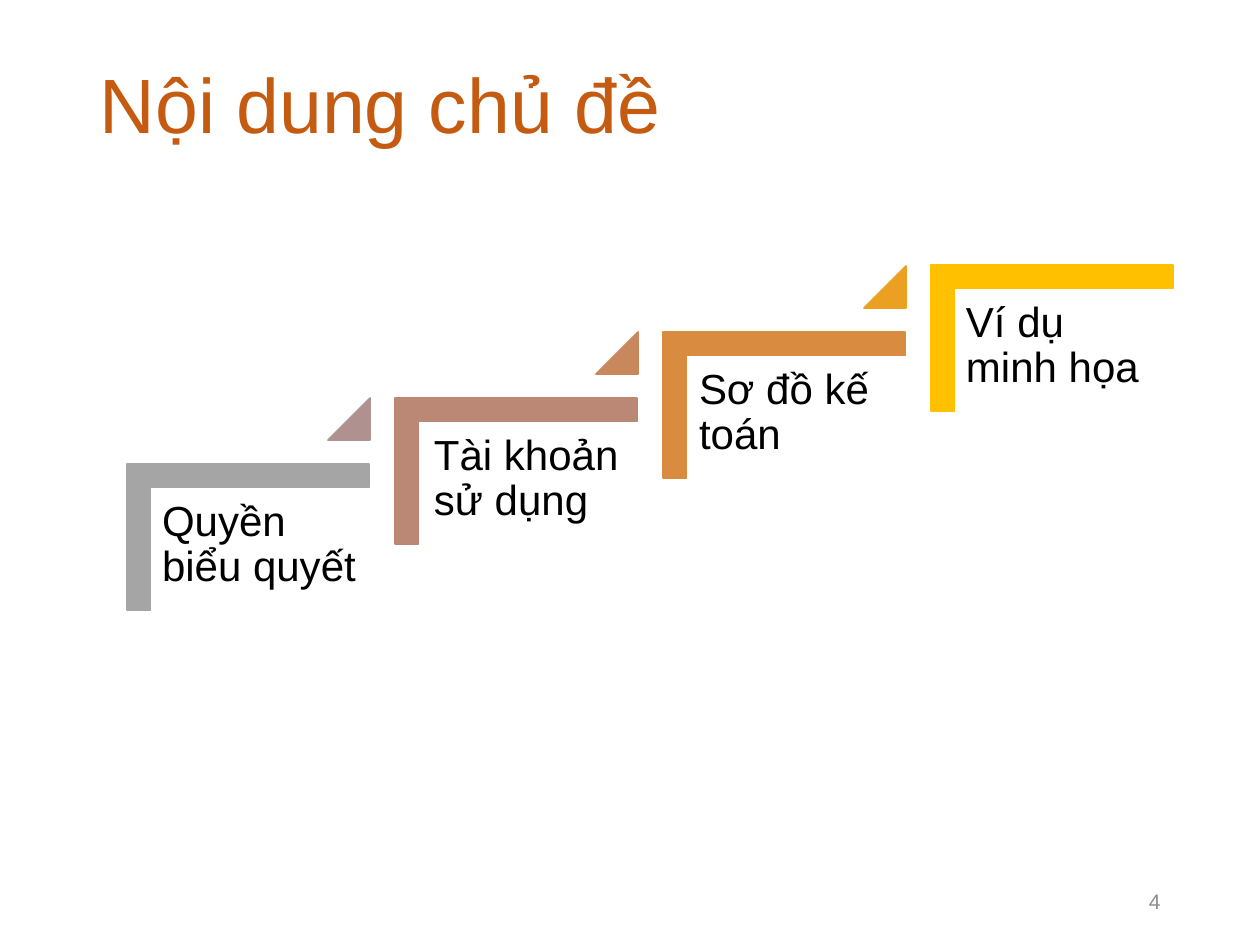
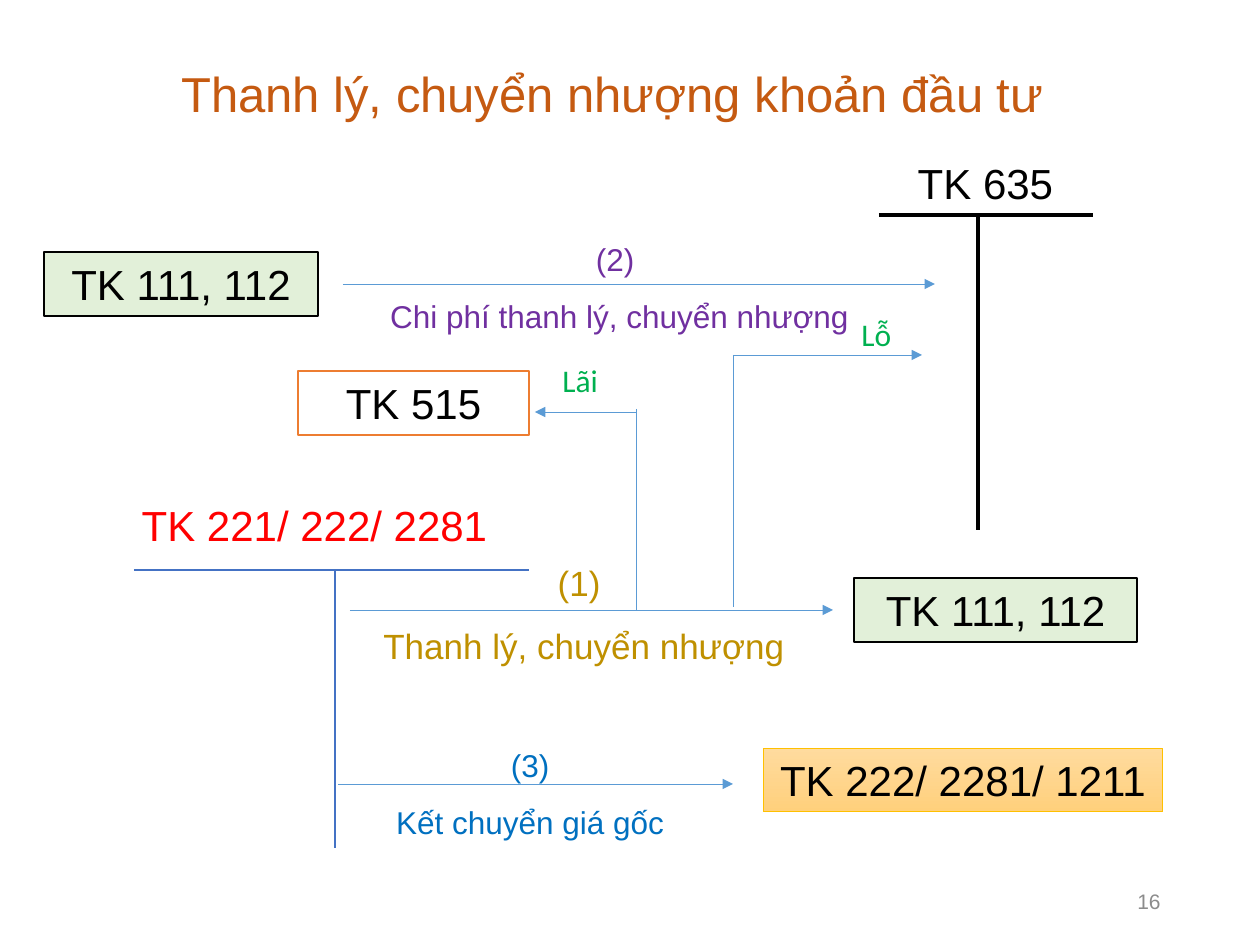
from lxml.etree import SubElement
from pptx import Presentation
from pptx.dml.color import RGBColor
from pptx.enum.shapes import MSO_CONNECTOR, MSO_SHAPE
from pptx.enum.text import MSO_ANCHOR, PP_ALIGN
from pptx.oxml.ns import qn
from pptx.util import Pt

PX = 914400 / 126  # EMU in one px
INK = {
    "title": "C55A11", "page": "8C8C8C", "black": "000000", "white": "FFFFFF",
    "red": "FF0000", "green": "00B050", "gold": "BF9000", "purple": "7030A0",
    "blue": "0070C0", "mint": "E2F0D9", "orange": "ED7D31", "amber": "FFC000",
    "flow": "5B9BD5", "ledger": "4472C4", "light": "FFDB9E", "deep": "FFD07C",
    "step1": "A5A5A5", "step2": "BB8876", "step3": "D98C3F", "step4": "FFC000",
    "rise1": "AF928F", "rise2": "C9875C", "rise3": "EBA021",
}
INK = {name: RGBColor.from_string(code) for name, code in INK.items()}


def write(shape, lines, size, ink, align=PP_ALIGN.CENTER, space=1.0,
          anchor=MSO_ANCHOR.TOP, font="Arial", wrap=True):
    """Fill a shape with evenly formatted paragraphs."""
    frame = shape.text_frame
    frame.text = lines
    frame.word_wrap = wrap
    frame.vertical_anchor = anchor
    for par in frame.paragraphs:
        par.alignment, par.line_spacing = align, space
        par.font.size, par.font.name = Pt(size), font
        par.font.color.rgb = INK[ink]


def link(slide, ends, ink, width, arrow=False):
    """Draw a straight line through ends (x1, y1, x2, y2) in px."""
    line = slide.shapes.add_connector(
        MSO_CONNECTOR.STRAIGHT, *[round(v * PX) for v in ends])
    line.line.color.rgb = INK[ink]
    line.line.width = Pt(width)
    props = line.element.spPr
    if arrow:
        SubElement(props.find(qn("a:ln")), qn("a:tailEnd"), type="triangle")
    SubElement(props, qn("a:effectLst"))


deck = Presentation()
deck.slide_width, deck.slide_height = round(1260 * PX), round(945 * PX)

# Titles and page numbers
heads = [
    ("Nội dung chủ đề", (87, 50, 1086, 117), 44, PP_ALIGN.LEFT, 0.9, "4"),
    ("Thanh lý, chuyển nhượng khoản đầu tư ", (76, 23, 1086, 111), 28,
     PP_ALIGN.CENTER, 1.5, "16"),
]
for words, area, size, align, space, number in heads:
    slide = deck.slides.add_slide(deck.slide_layouts[5])
    title = slide.shapes.title
    title.left, title.top, title.width, title.height = [
        round(v * PX) for v in area]
    write(title, words, size, "title", align, space, MSO_ANCHOR.MIDDLE)
    page = slide.shapes.add_textbox(
        *[round(v * PX) for v in (890, 876, 283, 50)])
    write(page, number, 12, "page", PP_ALIGN.RIGHT, anchor=MSO_ANCHOR.MIDDLE)
topics, flow = deck.slides

# Rising steps: each one moves 268 px right and a third of 199 px up
steps = [("Quyền biểu quyết", 150, 219), ("Tài khoản sử dụng", 422, 212),
         ("Sơ đồ kế toán", 687, 219), ("Ví dụ minh họa", 954, 219)]
for i, (words, left, width) in enumerate(steps):
    right, up = 268 * i, 199 * i // 3
    parts = [(MSO_SHAPE.CORNER, (175 + right, 416 - up, 146, 242), 90,
              [0.161, 0.161], f"step{i + 1}")]
    if i < len(steps) - 1:
        parts.append((MSO_SHAPE.ISOSCELES_TRIANGLE,
                      (328 + right, 398 - up, 42, 42), 0, [1],
                      f"rise{i + 1}"))
    for kind, area, turn, bends, ink in parts:
        part = topics.shapes.add_shape(kind, *[round(v * PX) for v in area])
        part.rotation = turn
        for n, bend in enumerate(bends):
            part.adjustments[n] = bend
        part.shadow.inherit = False
        part.fill.solid()
        part.fill.fore_color.rgb = part.line.color.rgb = INK[ink]
        part.line.width = Pt(1)
    label = topics.shapes.add_textbox(
        *[round(v * PX) for v in (left, 488 - up, width, 192)])
    frame = label.text_frame
    frame.margin_left = frame.margin_right = round(12 * PX)
    frame.margin_top = frame.margin_bottom = round(12 * PX)
    write(label, words, 24, "black", PP_ALIGN.LEFT, 0.9)

# Account boxes
boxes = [
    ("TK 111, 112", (854, 578, 283, 64), "mint", "black", 0.75),
    ("TK 515", (298, 371, 231, 64), "white", "orange", 1),
    ("TK 111, 112", (44, 252, 274, 64), "mint", "black", 0.75),
    ("TK 222/ 2281/ 1211", (763, 748, 400, 64), None, "amber", 0.5),
]
for words, area, fill, edge, width in boxes:
    box = flow.shapes.add_shape(
        MSO_SHAPE.RECTANGLE, *[round(v * PX) for v in area])
    box.shadow.inherit = False
    if fill:
        box.fill.solid()
        box.fill.fore_color.rgb = INK[fill]
    else:
        box.fill.gradient()
        box.fill.gradient_angle = 270
        for stop, ink in zip(box.fill.gradient_stops, ("light", "deep")):
            stop.color.rgb = INK[ink]
    box.line.color.rgb = INK[edge]
    box.line.width = Pt(width)
    write(box, words, 24, "black")

# T accounts: stem, then bar
for ends, ink, width in [
    ((335, 571, 335, 848), "ledger", 1.5),
    ((134, 570, 529, 570), "ledger", 1.5),
    ((978, 215, 978, 530), "black", 2.75),
    ((879, 215, 1093, 215), "black", 2.75),
]:
    link(flow, ends, ink, width)

# Entries between accounts
for ends, arrow in [
    ((343, 284, 935, 284), True),
    ((350, 610, 833, 610), True),
    ((636, 409, 636, 611), False),
    ((733, 355, 733, 607), False),
    ((733, 355, 922, 355), True),
    ((636, 412, 535, 412), True),
    ((338, 784, 733, 784), True),
]:
    link(flow, ends, "flow", 0.5, arrow)

# Captions
left = {"align": PP_ALIGN.LEFT, "font": "Calibri"}
for words, area, size, ink, style in [
    ("TK 221/ 222/ 2281", (115, 493, 399, 64), 24, "red", {}),
    ("TK 635", (833, 151, 305, 64), 24, "black", {}),
    ("(1) \nThanh lý, chuyển nhượng", (340, 534, 488, 132), 20, "gold",
     {"space": 1.5}),
    ("(2) \nChi phí thanh lý, chuyển nhượng", (305, 215, 629, 120), 18,
     "purple", {"space": 1.5}),
    ("(3)\nKết chuyển giá gốc", (382, 721, 296, 120), 18, "blue",
     {"space": 1.5, "wrap": False}),
    ("Lãi", (550, 355, 76, 50), 18, "green", left),
    ("Lỗ", (849, 309, 76, 50), 18, "green", left),
]:
    note = flow.shapes.add_textbox(*[round(v * PX) for v in area])
    write(note, words, size, ink, **style)

deck.save("out.pptx")
